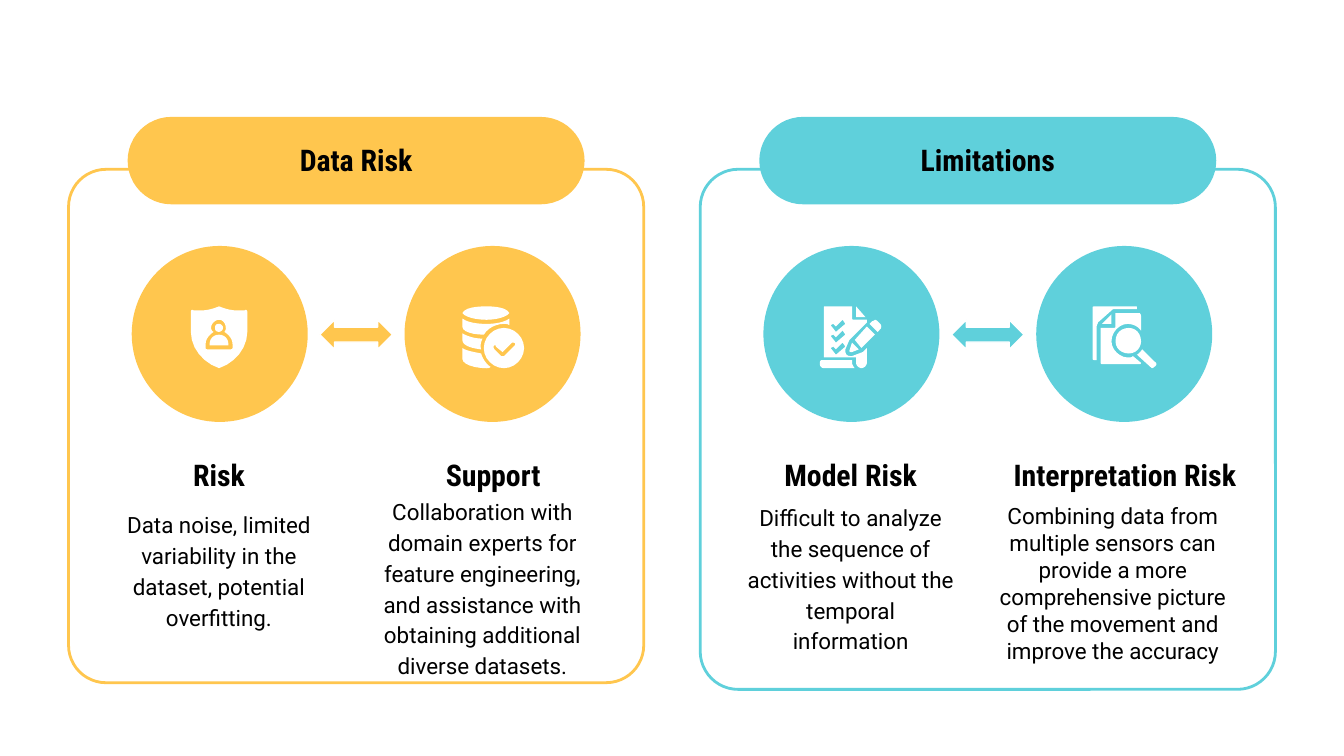
from pptx import Presentation
from pptx.dml.color import RGBColor
from pptx.enum import shapes, text
from pptx.util import Emu, Pt

PX = 9144  # 100 px to the inch
COLORS = {"amber": "FFC64E", "aqua": "5FD0DB", "white": "FFFFFF", "black": "000000"}
HEAD, BODY = ("Roboto Condensed", 16, True), ("Roboto", 12, False)

# Icon outlines in slide px. "|" parts contours and ";" parts segments:
# a start point first, then lines (2 numbers) or Bezier curves (6 numbers).
TICKS = "|".join(
    f"627 {y};629 {y + 3};622 {y + 9};618 {y + 4};620 {y + 3};622 {y + 5}" for y in (238, 246, 255)
)
SHIELD = [
    "163 249;159 249 156 252 156 256;156 257;170 257;170 256;170 252 167 249 163 249",
    "163 241;161 241 160 242 160 244;160 246 161 247 163 247;"
    "164 247 166 246 166 244;166 242 164 241 163 241",
    "163 238;166 238 168 241 168 244;168 245 168 246 167 247;170 249 173 252 173 256;"
    "173 259;173 260 172 260 171 260;155 260;154 260 153 260 153 259;153 256;"
    "153 252 156 249 159 247;158 247 157 245 157 244;157 241 160 238 163 238|"
    "163 228;158 230 154 231 150 231;148 231 146 231 144 231;143 230 142 231 142 232;"
    "142 247;142 259 151 270 163 274;175 270 184 259 184 247;184 232;"
    "184 231 183 230 182 231;180 231 178 231 176 231;172 231 168 230 163 228",
]
DATABASE = [
    "362 228;354 228 346 229 344 233;346 236 354 238 362 238;"
    "369 238 377 236 379 233;377 229 369 228 362 228",
    "344 237;344 243;344 247 352 249 360 249;363 244 369 241 375 241;376 241 378 241 379 242;"
    "379 237;375 240 368 241 362 241;355 241 348 240 344 237",
    "382 255;383 255 384 256 383 257;375 265;375 265 374 265 373 265;368 260;"
    "367 259 367 257 368 257;369 257 369 257 369 258;374 262;381 255|"
    "375 244;367 244 360 251 360 259;360 267 367 274 375 274;"
    "383 274 390 267 390 259;390 251 383 244 375 244",
    "344 248;344 253;344 257 350 259 358 260;357 257 358 254 359 252;353 252 347 250 344 248",
    "344 259;344 267;344 271 353 274 362 274;363 274 364 274 365 273;"
    "362 271 359 267 358 263;353 262 347 261 344 259",
]
CHECKLIST = [
    TICKS + "|614 228;613 228 613 228 613 229;613 266;637 266;637 270;637 272 639 274 641 274;"
    "643 274 645 272 645 270;645 259;642 262;634 265;632 265 631 265 630 264;"
    "629 263 629 262 629 260;632 253;645 240;645 238;635 238;635 238 634 238 634 237;634 228",
    "651 238;651 238 650 239 649 239;647 241;653 247;655 245;656 244 656 242 655 241;"
    "653 239;653 239 652 238 651 238",
    "634 255;632 261;632 262 633 262 634 262;639 260",
    "645 243;636 253;641 259;651 249",
    "637 228;637 236;644 236",
    "611 268;611 268 610 269 610 270;610 271;610 272 611 274 613 274;636 274;"
    "635 273 634 271 634 270;634 268",
]
MAGNIFIER = [
    "815 228;814 228 813 228 813 229;813 267;813 268 814 268 815 268;816 268;816 243;"
    "816 242 817 241 817 240;826 232;827 231 828 230 829 230;846 230;846 229;846 228 846 228 845 228",
    "827 234;820 241;827 241",
    "840 244;834 244 830 248 830 254;830 259 834 263 840 263;"
    "845 263 849 259 849 254;849 248 845 244 840 244",
    "830 233;830 243;830 244 829 244 829 244;819 244;819 270;819 270 819 271 820 271;848 271;"
    "848 271 849 271 849 270;843 265;842 266 841 266 839 266;833 266 827 260 827 254;"
    "827 247 833 241 839 241;843 241 847 243 849 246;849 235;849 234 848 233 848 233",
    "850 260;849 261 848 263 846 264;856 273;856 273 857 274 857 274;858 274 859 273 859 273;"
    "861 272 861 270 859 269",
]

# heading (text, left, width), detail (text, left, width, height, line spacing), icon
PANELS = [
    ("Limitations", "aqua", 470, 387, [
        (("Model Risk", 535, 196),
         ("Difficult to analyze the sequence of activities without the temporal information",
          535, 196, 117, 1.15), CHECKLIST),
        (("Interpretation Risk", 731, 212),
         ("Combining data from multiple sensors can provide a more comprehensive picture "
          "of the movement and improve the accuracy", 722, 212, 126, 1.0), MAGNIFIER),
    ]),
    ("Data Risk", "amber", 0, 382, [
        (("Risk", 65, 196),
         ("Data noise, limited variability in the dataset, potential overfitting.",
          65, 196, 105, 1.15), SHIELD),
        (("Support", 269, 196),
         ("Collaboration with domain experts for feature engineering, and assistance with "
          "obtaining additional diverse datasets.", 253, 212, 131, 1.15), DATABASE),
    ]),
]

deck = Presentation()
deck.slide_width = Emu(1000 * PX)
deck.slide_height = Emu(deck.slide_width * 9 // 16)
slide = deck.slides.add_slide(deck.slide_layouts[6])


def add_block(kind, box, fill, line=None, line_width=0.75, adjust=()):
    block = slide.shapes.add_shape(kind, *(Emu(v * PX) for v in box))
    block.shadow.inherit = False
    for i, value in enumerate(adjust):
        block.adjustments[i] = value
    block.fill.solid()
    block.fill.fore_color.rgb = RGBColor.from_string(COLORS[fill])
    if line:
        block.line.color.rgb = RGBColor.from_string(COLORS[line])
        block.line.width = Pt(line_width)
    else:
        block.line.fill.background()


def add_words(words, box, style, spacing=1.0):
    frame = slide.shapes.add_textbox(*(Emu(v * PX) for v in box)).text_frame
    frame.word_wrap = True
    frame.vertical_anchor = text.MSO_ANCHOR.MIDDLE
    frame.margin_left = frame.margin_right = Emu(20 * PX)
    frame.margin_top = frame.margin_bottom = 0
    paragraph = frame.paragraphs[0]
    paragraph.alignment = text.PP_ALIGN.CENTER
    paragraph.line_spacing = spacing
    run = paragraph.add_run()
    run.text = words
    run.font.name, size, run.font.bold = style
    run.font.size = Pt(size)
    run.font.color.rgb = RGBColor.from_string(COLORS["black"])


for title, color, shift, height, topics in PANELS:
    add_block(shapes.MSO_SHAPE.ROUNDED_RECTANGLE, (51 + shift, 126, 428, height),
              "white", color, 1.5, [0.073])
    add_block(shapes.MSO_SHAPE.ROUNDED_RECTANGLE, (95 + shift, 87, 340, 65), color, adjust=[0.5])
    add_words(title, (141 + shift, 101, 248, 36), HEAD)
    add_block(shapes.MSO_SHAPE.LEFT_RIGHT_ARROW, (238 + shift, 238, 54, 22),
              color, "white", adjust=[0.5, 0.5])

    for column, (heading, detail, icon) in enumerate(topics):
        add_block(shapes.MSO_SHAPE.OVAL, (98 + shift + 203 * column, 183, 131, 131), color)
        words, left, width = heading
        add_words(words, (left, 335, width, 36), HEAD)
        words, left, width, depth, spacing = detail
        add_words(words, (left, 371, width, depth), BODY, spacing)

        group = slide.shapes.add_group_shape()
        for part in icon:
            outline = None
            for contour in part.split("|"):
                points = []
                for segment in contour.split(";"):
                    n = [int(v) * PX for v in segment.split()]
                    if len(n) == 2:
                        points.append(tuple(n))
                        continue
                    x0, y0 = points[-1]
                    for t in (step / 6 for step in range(1, 7)):
                        a, b, c, d = (1 - t) ** 3, 3 * t * (1 - t) ** 2, 3 * t * t * (1 - t), t ** 3
                        points.append((a * x0 + b * n[0] + c * n[2] + d * n[4],
                                       a * y0 + b * n[1] + c * n[3] + d * n[5]))
                if outline is None:
                    outline = group.shapes.build_freeform(*points[0])
                else:
                    outline.move_to(*points[0])
                outline.add_line_segments(points[1:], close=True)
            piece = outline.convert_to_shape()
            piece.shadow.inherit = False
            piece.fill.solid()
            piece.fill.fore_color.rgb = RGBColor.from_string(COLORS["white"])
            piece.line.fill.background()

deck.save("out.pptx")
